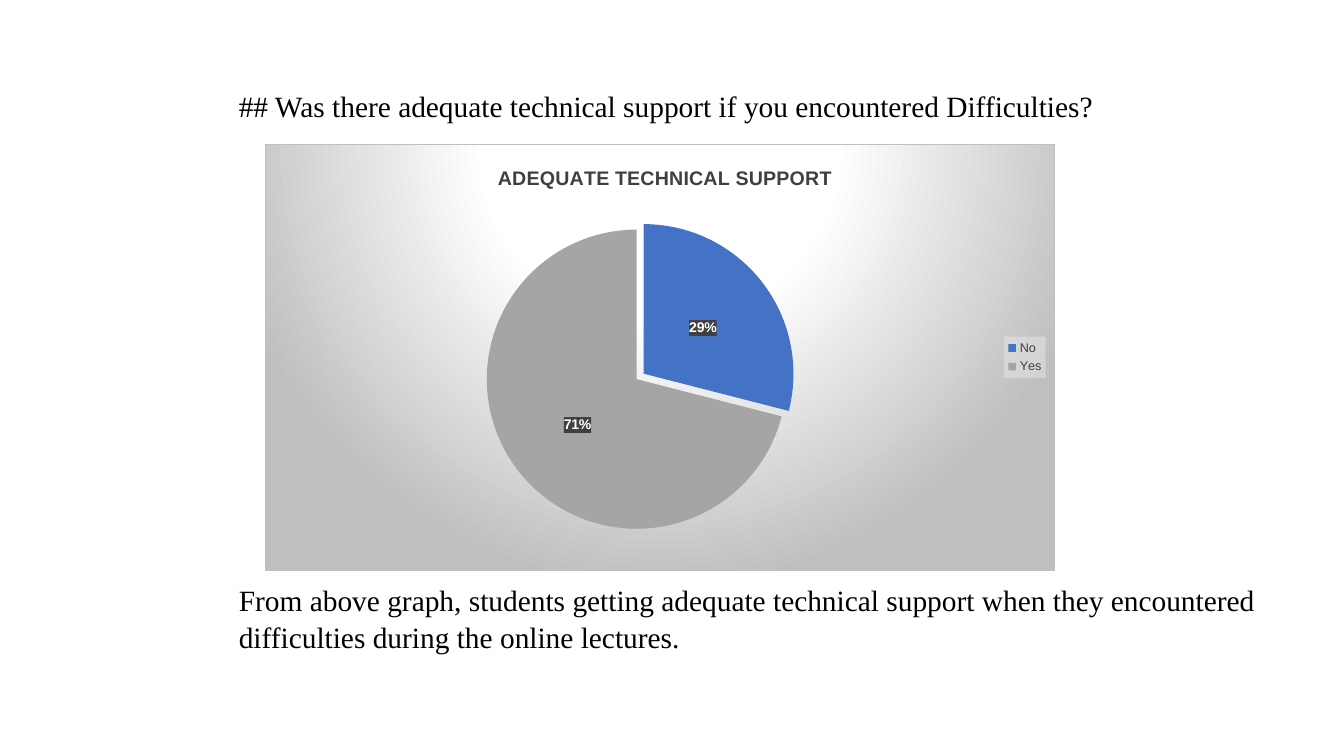
from pptx import Presentation
from pptx.chart.data import CategoryChartData
from pptx.dml.color import RGBColor
from pptx.enum.chart import XL_CHART_TYPE, XL_LABEL_POSITION, XL_LEGEND_POSITION
from pptx.oxml import parse_xml
from pptx.oxml.ns import nsdecls, qn
from pptx.util import Inches, Pt

PIE = XL_CHART_TYPE.PIE
CENTER = XL_LABEL_POSITION.CENTER
RIGHT = XL_LEGEND_POSITION.RIGHT

BLACK = RGBColor(0x00, 0x00, 0x00)
WHITE = RGBColor(0xFF, 0xFF, 0xFF)
DARK = RGBColor(0x40, 0x40, 0x40)
PALE = RGBColor(0xF2, 0xF2, 0xF2)
SILVER = RGBColor(0xBF, 0xBF, 0xBF)
BLUE = RGBColor(0x44, 0x72, 0xC4)
GRAY = RGBColor(0xA5, 0xA5, 0xA5)

SERIF = "Times New Roman"
SANS = "Arial"


def node(tag, body="", attrs=""):
    """Build a chart element that may hold drawing elements."""
    return parse_xml(f"<c:{tag} {nsdecls('c', 'a')} {attrs}>{body}</c:{tag}>")


def tint(color, alpha):
    """Build shape properties with a see-through fill."""
    return node("spPr", f'<a:solidFill><a:srgbClr val="{color}">'
                f'<a:alpha val="{alpha * 1000}"/></a:srgbClr></a:solidFill>')


def glow(stops, edge):
    """Build shape properties with a round gradient lit from above."""
    marks = "".join(f'<a:gs pos="{pos * 1000}"><a:srgbClr val="{color}"/></a:gs>'
                    for pos, color in stops)
    return node("spPr", f'<a:gradFill><a:gsLst>{marks}</a:gsLst><a:path path="circle">'
                '<a:fillToRect l="50000" t="-80000" r="50000" b="180000"/>'
                '</a:path></a:gradFill>'
                f'<a:ln w="{Pt(0.75)}"><a:solidFill><a:srgbClr val="{edge}"/>'
                '</a:solidFill></a:ln>')


def place(inner=False, **shares):
    """Build a fixed layout from shares of the chart's size."""
    body = '<c:layoutTarget val="inner"/>' if inner else ""
    body += "".join(f'<c:{side}Mode val="edge"/>' for side in "xy")
    body += "".join(f'<c:{key} val="{val}"/>' for key, val in shares.items())
    return node("layout", f"<c:manualLayout>{body}</c:manualLayout>")


def blast(share):
    return node("explosion", attrs=f'val="{share}"')


class Deck:
    def __init__(self, width, height):
        self.prs = Presentation()
        self.prs.slide_width = Inches(width)
        self.prs.slide_height = Inches(height)
        self.slide = self.prs.slides.add_slide(self.prs.slide_layouts[6])

    def box(self, left, top, width, height):
        """Turn shares of the slide's size in percent into lengths."""
        wide, high = self.prs.slide_width, self.prs.slide_height
        return (int(wide * left / 100), int(high * top / 100),
                int(wide * width / 100), int(high * height / 100))

    def style(self, font, name, size, color, bold=False):
        font.name, font.size, font.bold = name, Pt(size), bold
        font.color.rgb = color

    def text(self, words, *area):
        frame = self.slide.shapes.add_textbox(*self.box(*area)).text_frame
        frame.word_wrap = True
        para = frame.paragraphs[0]
        para.line_spacing = 1.04
        run = para.add_run()
        run.text = words
        self.style(run.font, SERIF, 21, BLACK)

    def pie(self, title, slices, *area):
        """Add a pie from (name, value, color) slices."""
        data = CategoryChartData()
        data.categories = [name for name, _, _ in slices]
        data.add_series("Series 1", [val for _, val, _ in slices])
        chart = self.slide.shapes.add_chart(PIE, *self.box(*area), data).chart
        self.style(chart.font, SANS, 10, BLACK)
        space = chart._chartSpace
        space.find(qn("c:chart")).addnext(
            glow([(0, WHITE), (39, WHITE), (100, SILVER)], SILVER))
        self.head(chart, title)
        self.key(chart)
        plot = chart.plots[0]
        plot.vary_by_categories = True
        old = plot._element.getparent().find(qn("c:layout"))
        if old is not None:
            old.getparent().remove(old)
        plot._element.getparent().insert(0, place(True, x=0.25, y=0.13, w=0.45, h=0.83))
        self.cut(plot.series[0], slices)
        self.label(plot)

    def head(self, chart, words):
        chart.has_title = True
        title = chart.chart_title
        run = title.text_frame.paragraphs[0].add_run()
        run.text = words
        self.style(run.font, SANS, 14, DARK, True)
        title.include_in_layout = False
        root = title._element
        for old in root.findall(qn("c:layout")):
            root.remove(old)
        root.find(qn("c:tx")).addnext(place(x=0.29, y=0.04))

    def key(self, chart):
        """Add the legend."""
        chart.has_legend = True
        legend = chart.legend
        legend.position = RIGHT
        legend.include_in_layout = False
        self.style(legend.font, SANS, 9, DARK)
        legend._element.find(qn("c:txPr")).addprevious(tint(PALE, 39))

    def cut(self, series, slices):
        """Color the slices and pull them apart."""
        series._element.find(qn("c:tx")).addnext(blast(18))
        for i, (_, _, color) in enumerate(slices):
            form = series.points[i].format
            form.fill.solid()
            form.fill.fore_color.rgb = color
            form.line.fill.background()
        for point in series._element.findall(qn("c:dPt")):
            point.find(qn("c:spPr")).addprevious(blast(3))

    def label(self, plot):
        plot.has_data_labels = True
        labels = plot.data_labels
        labels.show_value = False
        labels.show_percentage = True
        labels.number_format = "0%"
        labels.number_format_is_linked = False
        labels.position = CENTER
        self.style(labels.font, SANS, 10, WHITE, True)
        labels._element.find(qn("c:txPr")).addprevious(tint(DARK, 90))


def main():
    deck = Deck(13.33, 7.5)
    deck.text("## Was there adequate technical support if you encountered Difficulties?",
              17.03, 10.8, 82.97, 6)
    deck.pie("ADEQUATE TECHNICAL SUPPORT", [("No", 29, BLUE), ("Yes", 71, GRAY)],
             19.73, 19.07, 58.74, 56.4)
    deck.text("From above graph, students getting adequate technical support when "
              "they encountered difficulties during the online lectures.",
              17.03, 76.2, 82.97, 11)
    deck.prs.save("out.pptx")


if __name__ == "__main__":
    main()
